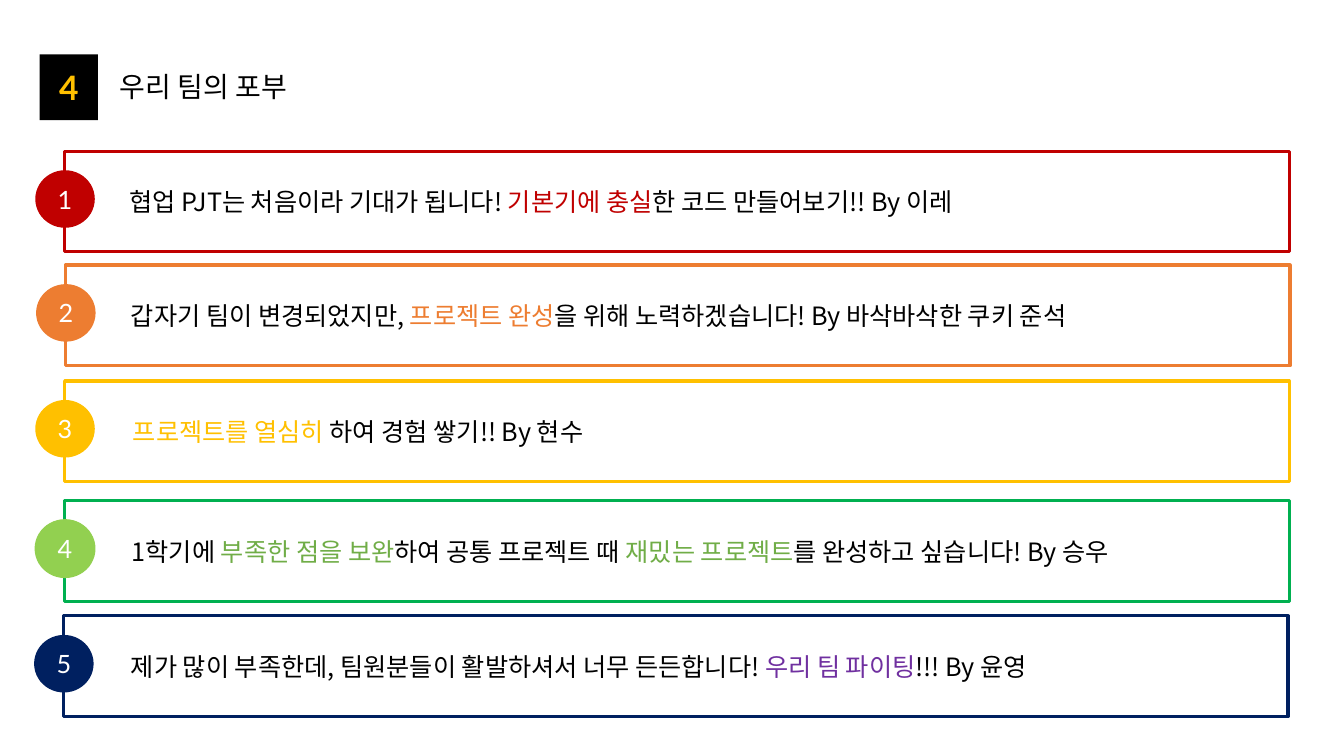
"""Builds the slide listing the hopes of each team member."""
from lxml import etree
from pptx import Presentation
from pptx import util as u
from pptx.dml.color import RGBColor
from pptx.enum import shapes, text
from pptx.oxml.ns import qn

COLOURS = {
    "black": "000000", "white": "FFFFFF", "red": "C00000", "orange": "ED7D31",
    "yellow": "FFC000", "green": "00B050", "lime": "92D050", "leaf": "70AD47",
    "navy": "002060", "purple": "7030A0",
}
KOREAN = "Noto Sans CJK KR"
LATIN = "Lato"

ROWS = [
    dict(left=1.63, top=3.81, frame="red", disc="red", text_left=3.02, text_width=27.51, wrap=True,
         spans=[("협업 PJT는 처음이라 기대가 됩니다! ", "black"), ("기본기에 충실", "red"),
                ("한 코드 만들어보기!! By 이레", "black")]),
    dict(left=1.65, top=6.68, frame="orange", disc="orange", text_left=3.05, text_width=29.16, wrap=True,
         spans=[("갑자기 팀이 변경되었지만, ", "black"), ("프로젝트 완성", "orange"),
                ("을 위해 노력하겠습니다! By 바삭바삭한 쿠키 준석", "black")]),
    dict(left=1.63, top=9.6, frame="yellow", disc="yellow", text_left=3.1, text_width=12.85, wrap=False,
         spans=[("프로젝트를 열심히 ", "yellow"), ("하여 경험 쌓기!! By 현수", "black")]),
    dict(left=1.63, top=12.62, frame="green", disc="lime", text_left=3.07, text_width=28.02, wrap=False,
         spans=[("1학기에 ", "black"), ("부족한 점을 보완", "leaf"), ("하여 공통 프로젝트 때 ", "black"),
                ("재밌는 프로젝트", "leaf"), ("를 완성하고 싶습니다! By 승우", "black")]),
    dict(left=1.6, top=15.52, frame="navy", disc="navy", text_left=3.05, text_width=24.97, wrap=False,
         spans=[("제가 많이 부족한데, 팀원분들이 활발하셔서 너무 든든합니다! ", "black"),
                ("우리 팀 파이팅", "purple"), ("!!! By 윤영", "black")]),
]


def add_span(para, content, *, size=18, font=KOREAN, colour="black", bold=False):
    """Add one formatted span of text to a paragraph."""
    span = para.add_run()
    span.text = content
    span.font.size = u.Pt(size)
    span.font.bold = bold
    span.font.color.rgb = RGBColor.from_string(COLOURS[colour])
    span.font.name = font
    etree.SubElement(span.font._element, qn("a:ea"), typeface=font)


class SlideBuilder:
    """Holds the style and the current slide."""

    def __init__(self, page, line_width=2.25):
        """Keep the page and the frame line width."""
        self.page = page
        self.line_width = line_width

    def shape(self, kind, left, top, width, height, *, fill=None, line=None, line_width=None):
        """Add a preset shape without shadow."""
        shape = self.page.shapes.add_shape(kind, u.Cm(left), u.Cm(top), u.Cm(width), u.Cm(height))
        shape.shadow.inherit = False
        if fill:
            shape.fill.solid()
            shape.fill.fore_color.rgb = RGBColor.from_string(COLOURS[fill])
        else:
            shape.fill.background()
        if line:
            shape.line.color.rgb = RGBColor.from_string(COLOURS[line])
            shape.line.width = u.Pt(line_width or self.line_width)
        else:
            shape.line.fill.background()
        return shape

    def badge(self, kind, number, left, top, width, height, *, fill, line=None, **style):
        """Add a filled shape with a centred number."""
        badge = self.shape(kind, left, top, width, height, fill=fill, line=line, line_width=1)
        frame = badge.text_frame
        frame.vertical_anchor = text.MSO_ANCHOR.MIDDLE
        para = frame.paragraphs[0]
        para.alignment = text.PP_ALIGN.CENTER
        add_span(para, str(number), font=LATIN, **style)

    def text_box(self, spans, left, top, width, height, *, wrap=False, size=18):
        """Add a text box of coloured spans."""
        box = self.page.shapes.add_textbox(u.Cm(left), u.Cm(top), u.Cm(width), u.Cm(height))
        box.text_frame.word_wrap = wrap
        box.text_frame.auto_size = text.MSO_AUTO_SIZE.SHAPE_TO_FIT_TEXT
        for content, colour in spans:
            add_span(box.text_frame.paragraphs[0], content, size=size, colour=colour)

    def hope(self, number, row):
        """Add one framed row with its numbered disc and sentence."""
        left, top = row["left"], row["top"]
        self.shape(shapes.MSO_SHAPE.RECTANGLE, left, top, 30.86, 2.54, line=row["frame"])
        outline = row["disc"] if row["disc"] != row["frame"] else None
        self.badge(shapes.MSO_SHAPE.OVAL, number, left - 0.74, top + 0.48, 1.5, 1.45,
                   fill=row["disc"], line=outline, colour="white")
        self.text_box(row["spans"], row["text_left"], top + 0.76, row["text_width"], 1.02,
                      wrap=row["wrap"])


def main():
    """Build and save the deck."""
    deck = Presentation()
    deck.slide_width, deck.slide_height = u.Cm(33.87), u.Cm(19.05)
    builder = SlideBuilder(deck.slides.add_slide(deck.slide_layouts[6]))
    builder.badge(shapes.MSO_SHAPE.RECTANGLE, 4, 1, 1.37, 1.47, 1.66,
                  fill="black", colour="yellow", size=24, bold=True)
    builder.text_box([("우리 팀의 포부", "black")], 2.77, 1.63, 5.13, 1.12, size=20)
    for number, row in enumerate(ROWS, start=1):
        builder.hope(number, row)
    deck.save("out.pptx")


if __name__ == "__main__":
    main()
